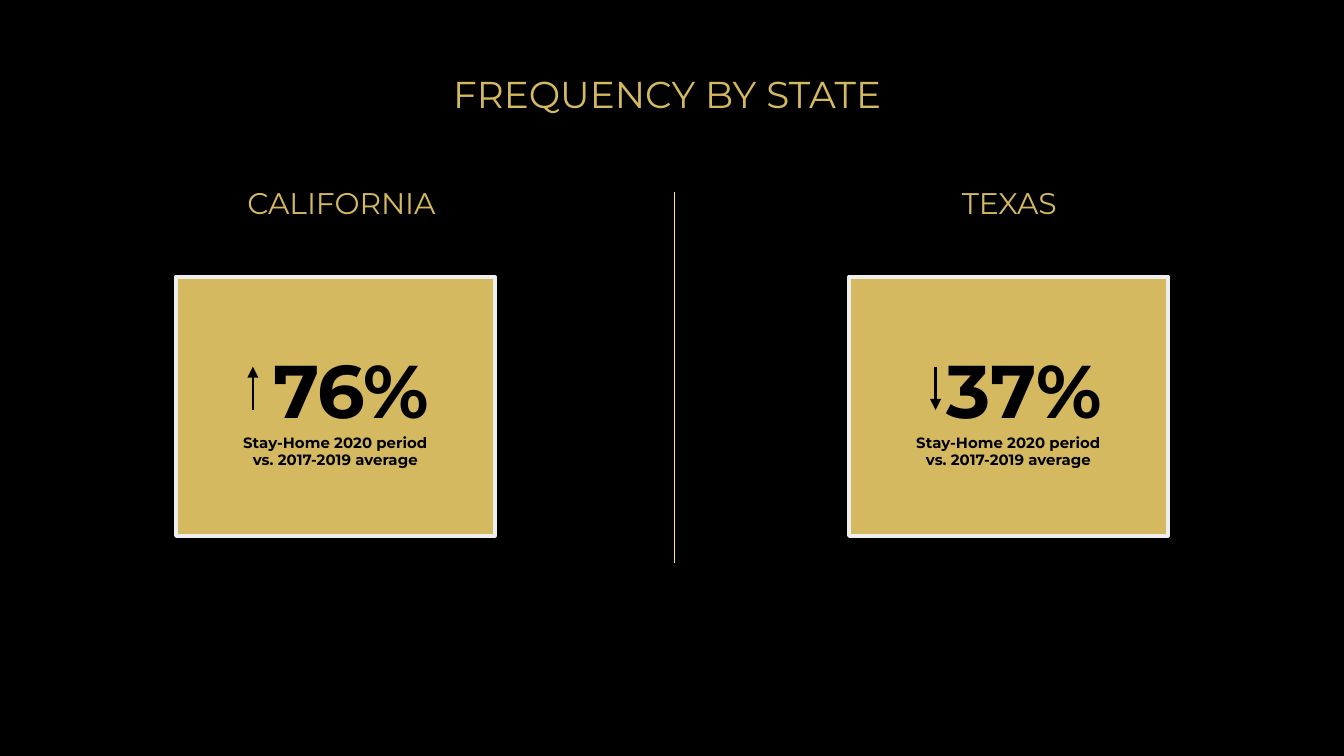
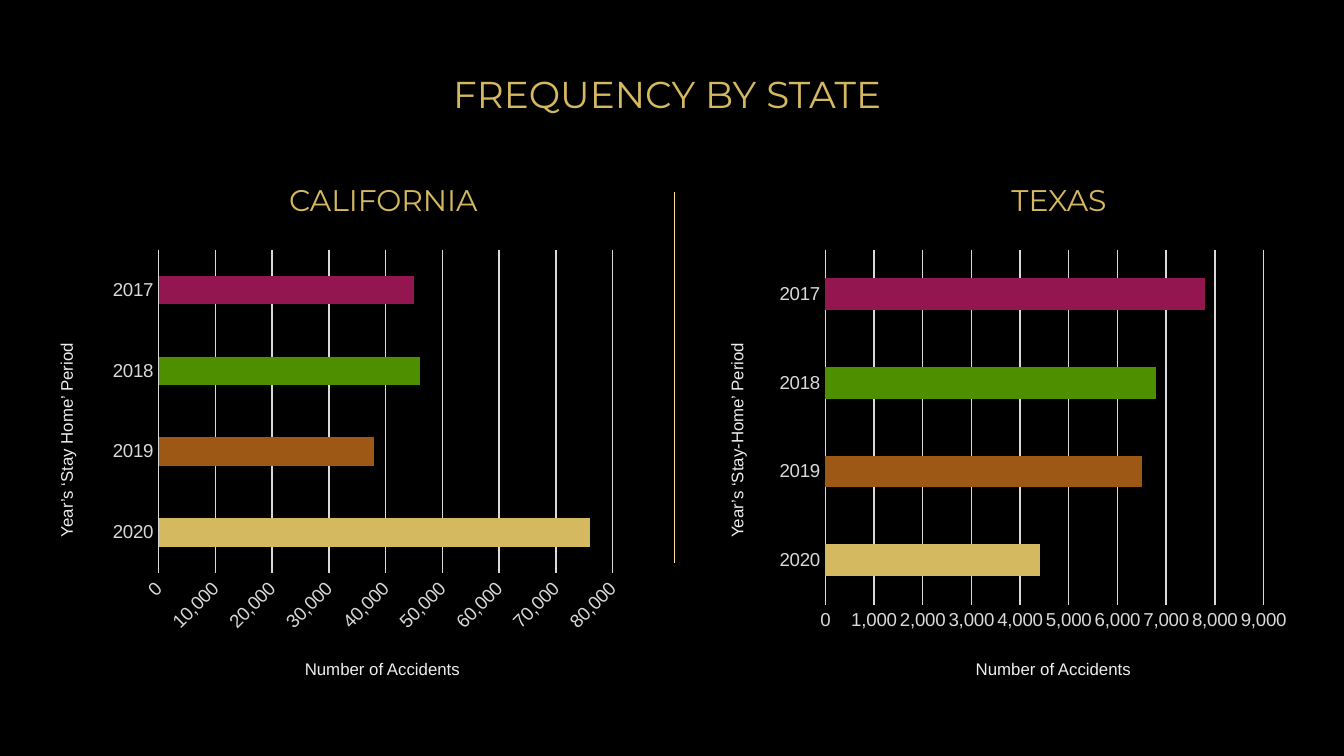
"""Build two slides comparing accident frequency in California and Texas."""
from lxml.etree import SubElement
from pptx import Presentation
from pptx.chart.data import CategoryChartData
from pptx.dml.color import RGBColor
from pptx.enum.chart import XL_CHART_TYPE, XL_TICK_MARK
from pptx.enum.shapes import MSO_CONNECTOR, MSO_SHAPE
from pptx.enum.text import MSO_ANCHOR, PP_ALIGN
from pptx.oxml.ns import qn
from pptx.util import Cm, Pt

BLACK, GOLD, PALE_GOLD = "000000", "D5B961", "FCE193"
OFF_WHITE, GREY = "EEEEEE", "D9D9D9"
DISPLAY, BODY = "Montserrat", "Arial"

TITLE = "FREQUENCY BY STATE"
CAPTION = ["Stay-Home 2020 period", "vs. 2017-2019 average"]
VALUE_TITLE = "Number of Accidents"
YEARS = ["2020", "2019", "2018", "2017"]
YEAR_COLOURS = [GOLD, "9D5816", "4E8F00", "941651"]

CARDS = [
    {"state": "CALIFORNIA", "heading": (3.1, 6.71), "left": 3.33,
     "change": "76%", "arrow": 4.78, "rising": True},
    {"state": "TEXAS", "heading": (15.29, 7.57), "left": 16.05,
     "change": "37%", "arrow": 17.68, "rising": False},
]
CHARTS = [
    {"state": "CALIFORNIA", "heading": (3.89, 6.71), "left": 1.9,
     "axis_title": "Year’s ‘Stay Home’ Period", "axis_left": -2.74, "value_left": 2.08,
     "values": [76000, 38000, 46000, 45000], "top_value": 80000, "step": 10000,
     "plot": (0.11, 0.02, 0.86, 0.81), "label_angle": -45},
    {"state": "TEXAS", "heading": (16.23, 7.57), "left": 14.5,
     "axis_title": "Year’s ‘Stay-Home’ Period", "axis_left": 9.93, "value_left": 14.76,
     "values": [4400, 6500, 6800, 7800], "top_value": 9000, "step": 1000,
     "plot": (0.11, 0.02, 0.83, 0.89), "label_angle": 0},
]


def colour(code):
    return RGBColor.from_string(code)


def style(font, size, code, name, bold=False):
    font.size, font.name, font.bold = Pt(size), name, bold
    font.color.rgb = colour(code)


def add_text(page, text, left, top, width, height, size, code=GOLD, name=DISPLAY,
             anchor=MSO_ANCHOR.BOTTOM, margin=0.25):
    box = page.shapes.add_textbox(Cm(left), Cm(top), Cm(width), Cm(height))
    frame = box.text_frame
    frame.word_wrap = True
    frame.vertical_anchor = anchor
    frame.margin_top = frame.margin_bottom = Cm(margin)
    frame.text = text
    para = frame.paragraphs[0]
    para.alignment = PP_ALIGN.CENTER
    style(para.runs[0].font, size, code, name)
    return box


def add_axis_title(page, text, left, top, width):
    return add_text(page, text, left, top, width, 0.64, 9, OFF_WHITE, BODY,
                    MSO_ANCHOR.TOP, 0.13)


def add_line(page, x, start, end, code, weight, arrow=False):
    line = page.shapes.add_connector(MSO_CONNECTOR.STRAIGHT, Cm(x), Cm(start), Cm(x), Cm(end))
    line.line.color.rgb = colour(code)
    line.line.width = Pt(weight)
    if arrow:
        SubElement(line.line._get_or_add_ln(), qn("a:tailEnd"), type="triangle")
    SubElement(line._element.spPr, qn("a:effectLst"))


def add_page(deck, heading_top, states):
    page = deck.slides.add_slide(deck.slide_layouts[6])
    page.background.fill.solid()
    page.background.fill.fore_color.rgb = colour(BLACK)
    add_text(page, TITLE, 2.13, 1.02, 20.96, 1.42, 20)
    add_line(page, 12.75, 3.63, 10.64, PALE_GOLD, 0.75)
    for state in states:
        left, width = state["heading"]
        add_text(page, state["state"], left, heading_top, width, 1.42, 16)
    return page


def add_card(page, card):
    box = page.shapes.add_shape(MSO_SHAPE.RECTANGLE, Cm(card["left"]), Cm(5.23), Cm(6.02), Cm(4.9))
    box.shadow.inherit = False
    box.fill.solid()
    box.fill.fore_color.rgb = colour(GOLD)
    box.line.color.rgb = colour(OFF_WHITE)
    box.line.width = Pt(2.25)
    frame = box.text_frame
    frame.word_wrap = True
    frame.vertical_anchor = MSO_ANCHOR.MIDDLE
    frame.text = "\n".join([card["change"], *CAPTION])
    for para, size in zip(frame.paragraphs, (40, 8, 8)):
        para.alignment = PP_ALIGN.CENTER
        style(para.runs[0].font, size, BLACK, DISPLAY, True)
    frame.paragraphs[0]._p.get_or_add_pPr().set("marL", str(Cm(0.6)))
    start, end = (7.75, 6.93) if card["rising"] else (6.93, 7.75)
    add_line(page, card["arrow"], start, end, BLACK, 1.5, True)


def set_plot_layout(chart, bounds):
    plot_area = chart._chartSpace.chart.plotArea
    for old in plot_area.findall(qn("c:layout")):
        plot_area.remove(old)
    layout = SubElement(plot_area, qn("c:layout"))
    plot_area.insert(0, layout)
    manual = SubElement(layout, qn("c:manualLayout"))
    settings = [("layoutTarget", "inner"), ("xMode", "edge"), ("yMode", "edge"),
                *zip("xywh", bounds)]
    for tag, value in settings:
        SubElement(manual, qn(f"c:{tag}"), val=str(value))


def add_bar_chart(page, state):
    data = CategoryChartData(number_format="#,##0")
    data.categories = YEARS
    data.add_series("Series 1", state["values"])
    chart = page.shapes.add_chart(XL_CHART_TYPE.BAR_CLUSTERED, Cm(state["left"]), Cm(4.57),
                                  Cm(9.98), Cm(7.54), data).chart
    chart.has_legend = chart.has_title = False
    style(chart.font, 10, BLACK, BODY)
    for axis in (chart.category_axis, chart.value_axis):
        axis.major_tick_mark = axis.minor_tick_mark = XL_TICK_MARK.NONE
        axis.format.line.fill.background()
        style(axis.tick_labels.font, 10, GREY, BODY)
    chart.category_axis.has_major_gridlines = False
    scale = chart.value_axis
    scale.minimum_scale, scale.maximum_scale = 0, state["top_value"]
    scale.major_unit = state["step"]
    scale.tick_labels.number_format = "#,##0"
    scale.tick_labels.number_format_is_linked = False
    scale.has_major_gridlines = True
    scale.major_gridlines.format.line.color.rgb = colour(GREY)
    scale.major_gridlines.format.line.width = Pt(0.75)
    scale._element.txPr.find(qn("a:bodyPr")).set("rot", str(state["label_angle"] * 60000))
    plot = chart.plots[0]
    plot.gap_width = 182
    plot.vary_by_categories = False
    series = plot.series[0]
    series.format.fill.solid()
    series.format.fill.fore_color.rgb = colour(GOLD)
    for index, code in enumerate(YEAR_COLOURS):
        fill = series.points[index].format.fill
        fill.solid()
        fill.fore_color.rgb = colour(code)
    set_plot_layout(chart, state["plot"])


def main():
    deck = Presentation()
    deck.slide_width, deck.slide_height = Cm(25.4), Cm(14.29)
    page = add_page(deck, 3.0, CARDS)
    for card in CARDS:
        add_card(page, card)
    page = add_page(deck, 2.95, CHARTS)
    for state in CHARTS:
        add_axis_title(page, state["axis_title"], state["axis_left"], 8.0, 7.98).rotation = 270
        add_axis_title(page, VALUE_TITLE, state["value_left"], 12.32, 10.29)
        add_bar_chart(page, state)
    deck.save("out.pptx")


if __name__ == "__main__":
    main()
